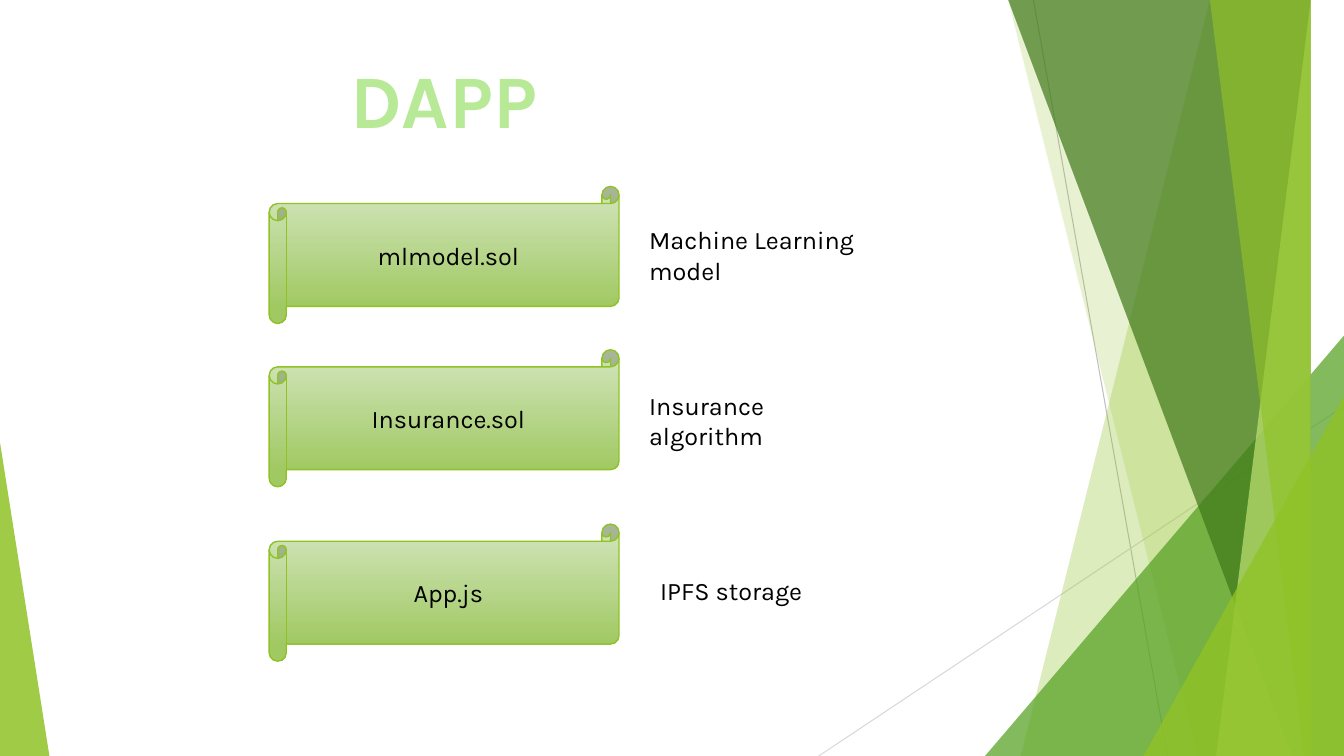
"""Builds the DAPP slide: three contract files with their roles."""
from dataclasses import dataclass

from lxml import etree
from pptx import Presentation
from pptx import util as u
from pptx.dml.color import RGBColor
from pptx.enum import shapes, text
from pptx.oxml import ns

WIDE, HIGH = 13.33, 7.5


@dataclass(frozen=True)
class Theme:
    font: str = "Karla"
    head: int = 54
    body: int = 18
    mint: str = "B7E996"
    ink: str = "000000"
    lime: str = "90C226"
    leaf: str = "54A021"
    moss: str = "3F7819"
    pale: str = "C0E474"
    light: str = "D3E5BE"
    deep: str = "A0C962"
    gray: str = "BFBFBF"
    mist: str = "D9D9D9"


class Deck:
    def __init__(self, theme):
        self.theme = theme
        self.prs = Presentation()
        self.prs.slide_width = u.Inches(WIDE)
        self.prs.slide_height = u.Inches(HIGH)
        self.slide = self.prs.slides.add_slide(self.prs.slide_layouts[5])
        self.shapes = self.slide.shapes

    def letter(self, shape, words, size, color, align, anchor, bold=False):
        frame = shape.text_frame
        frame.text = words
        frame.word_wrap = True
        frame.vertical_anchor = anchor
        para = frame.paragraphs[0]
        para.alignment = align
        font = para.font
        font.name, font.size, font.bold = self.theme.font, u.Pt(size), bold
        font.color.rgb = RGBColor.from_string(color)
        return frame

    def title(self, words, left, top, width, height):
        shape = self.shapes.title
        shape.left, shape.top = u.Inches(left), u.Inches(top)
        shape.width, shape.height = u.Inches(width), u.Inches(height)
        frame = self.letter(shape, words, self.theme.head, self.theme.mint,
                            text.PP_ALIGN.CENTER, text.MSO_ANCHOR.TOP, True)
        frame.word_wrap = False
        frame.auto_size = text.MSO_AUTO_SIZE.SHAPE_TO_FIT_TEXT
        props = frame.paragraphs[0].runs[0]._r.get_or_add_rPr()
        edge = etree.SubElement(props, ns.qn("a:ln"), w=str(u.Pt(1.75)))
        fill = etree.SubElement(edge, ns.qn("a:solidFill"))
        etree.SubElement(fill, ns.qn("a:srgbClr"), val=self.theme.leaf)

    def line(self, start, end, color):
        ends = [u.Inches(n) for n in (*start, *end)]
        link = self.shapes.add_connector(shapes.MSO_CONNECTOR.STRAIGHT, *ends)
        link.line.width = u.Pt(0.75)
        link.line.color.rgb = RGBColor.from_string(color)
        etree.SubElement(link._element.spPr, ns.qn("a:effectLst"))

    def tint(self, shape, color, alpha):
        shape.shadow.inherit = False
        shape.line.fill.background()
        shape.fill.solid()
        shape.fill.fore_color.rgb = RGBColor.from_string(color)
        node = next(shape._element.spPr.iter(ns.qn("a:srgbClr")))
        etree.SubElement(node, ns.qn("a:alpha"), val=str(alpha * 1000))

    def band(self, top, base, color, alpha):
        pen = self.shapes.build_freeform(top, -0.01, scale=u.Inches(1))
        pen.add_line_segments([(WIDE, -0.01), (WIDE, HIGH), (base, HIGH)])
        self.tint(pen.convert_to_shape(), color, alpha)

    def wedge(self, left, top, width, tip, color, alpha):
        shape = self.shapes.add_shape(
            shapes.MSO_SHAPE.ISOSCELES_TRIANGLE, u.Inches(left), u.Inches(top),
            u.Inches(width), u.Inches(HIGH - top))
        shape.adjustments[0] = tip
        self.tint(shape, color, alpha)

    def scroll(self, words, top):
        shape = self.shapes.add_shape(
            shapes.MSO_SHAPE.HORIZONTAL_SCROLL, u.Inches(2.67), u.Inches(top),
            u.Inches(3.47), u.Inches(1.36))
        shape.shadow.inherit = False
        shape.fill.gradient()
        shape.fill.gradient_angle = 270
        stops = ((0, self.theme.light), (0.88, self.theme.deep))
        for stop, (place, color) in zip(shape.fill.gradient_stops, stops):
            stop.position = place
            stop.color.rgb = RGBColor.from_string(color)
        shape.line.width = u.Pt(1)
        shape.line.color.rgb = RGBColor.from_string(self.theme.lime)
        self.letter(shape, words, self.theme.body, self.theme.ink,
                    text.PP_ALIGN.CENTER, text.MSO_ANCHOR.MIDDLE)

    def label(self, words, left, top, width, height):
        box = self.shapes.add_textbox(*map(u.Inches, (left, top, width, height)))
        frame = self.letter(box, words, self.theme.body, self.theme.ink,
                            text.PP_ALIGN.LEFT, text.MSO_ANCHOR.TOP)
        frame.auto_size = text.MSO_AUTO_SIZE.SHAPE_TO_FIT_TEXT


def main():
    theme = Theme()
    deck = Deck(theme)

    deck.line((10.25, 0), (11.58, HIGH), theme.gray)
    deck.line((WIDE, 4.03), (8.12, HIGH), theme.mist)
    deck.band(12.28, 10.04, theme.lime, 30)
    deck.band(10.5, 11.83, theme.lime, 20)
    deck.wedge(9.77, 3.33, 3.56, 1, theme.leaf, 72)
    deck.band(10.21, 12.91, theme.moss, 70)
    deck.band(13.03, 11.92, theme.pale, 70)
    deck.band(11.96, 13.18, theme.lime, 65)
    deck.wedge(11.34, 3.93, 1.99, 1, theme.lime, 80)
    deck.wedge(0, 4.39, 0.49, 0, theme.lime, 85)

    deck.title("DAPP", 3.37, 0.47, 2.06, 1.01)
    files = (("mlmodel.sol", 1.85), ("Insurance.sol", 3.47), ("App.js", 5.2))
    for name, top in files:
        deck.scroll(name, top)
    deck.label("Machine Learning model", 6.34, 2.18, 2.7, 0.71)
    deck.label("Insurance algorithm", 6.34, 3.82, 2.46, 0.4)
    deck.label("IPFS storage", 6.45, 5.66, 2.24, 0.4)

    deck.prs.save("out.pptx")


if __name__ == "__main__":
    main()
